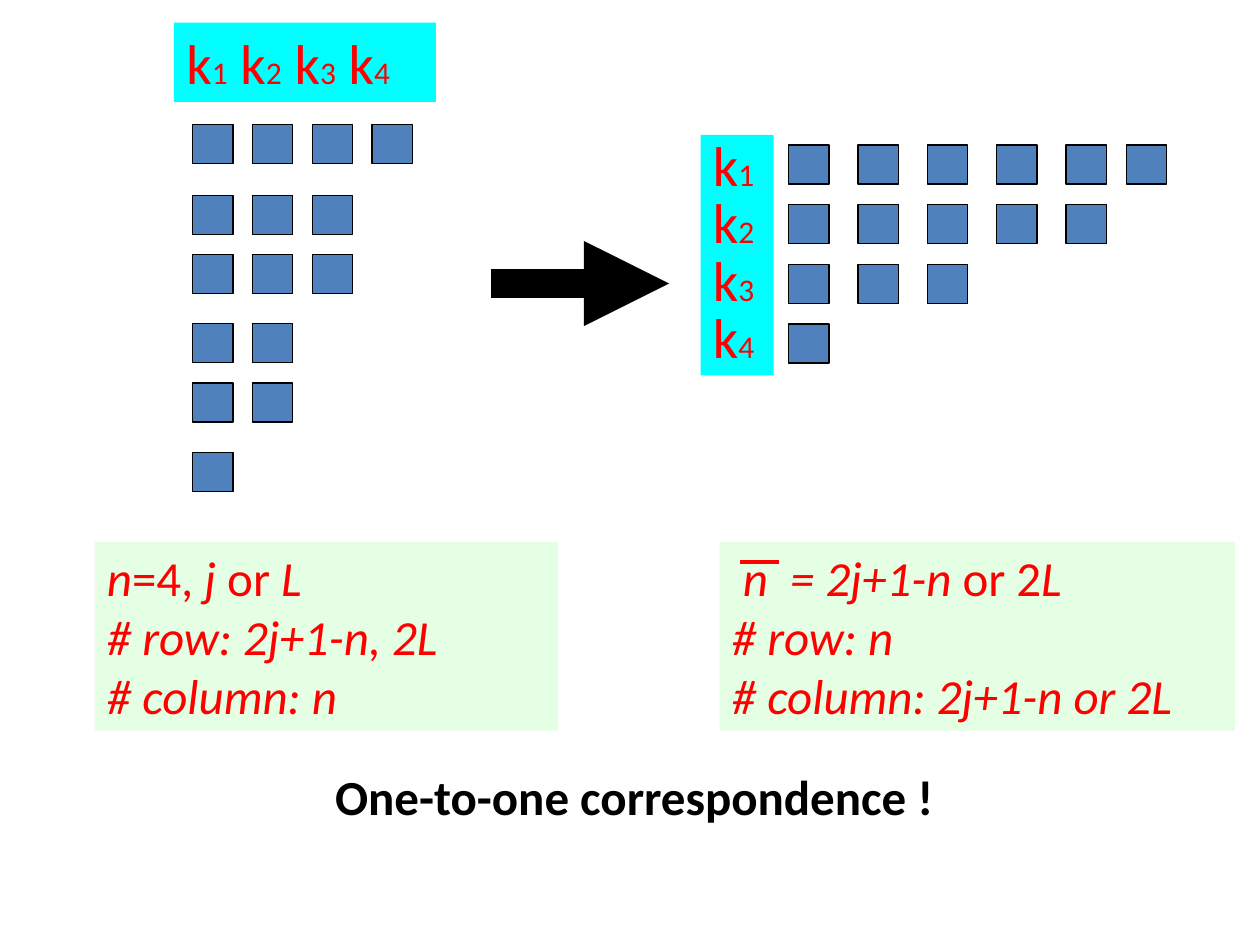
from lxml import etree
from pptx import Presentation
from pptx.dml.color import RGBColor
from pptx.enum.shapes import MSO_CONNECTOR as CONNECTOR, MSO_SHAPE as SHAPE
from pptx.enum.text import MSO_ANCHOR as ANCHOR, MSO_AUTO_SIZE as AUTO_SIZE, PP_ALIGN as ALIGN
from pptx.oxml.ns import qn
from pptx.util import Inches, Pt

BLACK = RGBColor(0x00, 0x00, 0x00)
RED = RGBColor(0xFF, 0x00, 0x00)
BLUE = RGBColor(0x4F, 0x81, 0xBD)
CYAN = RGBColor(0x00, 0xFF, 0xFF)
PALE_GREEN = RGBColor(0xCC, 0xFF, 0xCC)

BIG = dict(size=Pt(32))
SMALL = dict(size=Pt(18))
UPRIGHT = dict(size=Pt(28), italic=False)
ITALIC = dict(size=Pt(28), italic=True)
BOLD = dict(size=Pt(28), bold=True)


def write_lines(shape, lines, color, spacing=None):
    """Fill a shape with paragraphs, each a list of (text, format) pairs."""
    frame = shape.text_frame
    settings = dict(word_wrap=True, auto_size=AUTO_SIZE.NONE, vertical_anchor=ANCHOR.TOP)
    for name, value in settings.items():
        setattr(frame, name, value)
    for index, pieces in enumerate(lines):
        para = frame.add_paragraph() if index else frame.paragraphs[0]
        para.alignment = ALIGN.LEFT
        para.line_spacing = spacing
        for text, style in pieces:
            span = para.add_run()
            span.text = text
            span.font.color.rgb = color
            for name, value in dict(style, name="Calibri").items():
                setattr(span.font, name, value)


def add_panel(page, box, fill, opacity=100):
    panel = page.shapes.add_shape(SHAPE.RECTANGLE, *map(Inches, box))
    panel.shadow.inherit = False
    panel.fill.solid()
    panel.fill.fore_color.rgb = fill
    panel.line.fill.background()
    if opacity < 100:
        color = panel.fill._xPr.find(".//" + qn("a:srgbClr"))
        etree.SubElement(color, qn("a:alpha"), val=str(opacity * 1000))
    return panel


def add_line(page, start, end, color, width, arrow=False):
    line = page.shapes.add_connector(CONNECTOR.STRAIGHT, *map(Inches, start + end))
    line.line.color.rgb = color
    line.line.width = Pt(width)
    if arrow:
        etree.SubElement(line.line._get_or_add_ln(), qn("a:tailEnd"), type="triangle")
    etree.SubElement(line._element.spPr, qn("a:effectLst"))


def add_diagram(page, lefts, rows):
    """Draw rows of squares; each row is (top, number of squares)."""
    for top, count in rows:
        for left in lefts[:count]:
            square = add_panel(page, (left, top, 0.32, 0.31), BLUE)
            square.line.color.rgb = BLACK
            square.line.width = Pt(0.75)


def add_left_side(page):
    lefts = [1.53 + 0.474 * column for column in range(4)]
    add_diagram(page, lefts, [(0.99, 4), (1.55, 3), (2.02, 3), (2.57, 2), (3.04, 2), (3.59, 1)])
    # Column labels
    labels = []
    for number in range(1, 5):
        labels += [("k" if number == 1 else " k", BIG), (str(number), SMALL)]
    write_lines(add_panel(page, (1.38, 0.18, 2.08, 0.63), CYAN), [labels], RED)
    # Caption
    write_lines(add_panel(page, (0.75, 4.3, 3.68, 1.5), PALE_GREEN, 50), [
        [("n", ITALIC), ("=4, ", UPRIGHT), ("j ", ITALIC), ("or ", UPRIGHT), ("L", ITALIC)],
        [("# row: 2j+1-n, 2L", ITALIC)],
        [("# column: n", ITALIC)],
    ], RED)


def add_right_side(page):
    lefts = [6.26 + 0.55 * column for column in range(5)] + [8.94]
    counts = [6, 5, 3, 1]
    add_diagram(page, lefts, [(1.15 + 0.474 * row, count) for row, count in enumerate(counts)])
    # Row labels
    labels = [[("k", BIG), (str(number), SMALL)] for number in range(1, 5)]
    write_lines(add_panel(page, (5.56, 1.07, 0.58, 1.91), CYAN), labels, RED, spacing=0.85)
    # Caption, with a bar over the first n
    write_lines(add_panel(page, (5.71, 4.3, 4.09, 1.5), PALE_GREEN, 50), [
        [(" n  = 2j+1-n ", ITALIC), ("or 2", UPRIGHT), ("L", ITALIC)],
        [("# row: n", ITALIC)],
        [("# column: 2j+1-n or 2L", ITALIC)],
    ], RED)
    add_line(page, (5.87, 4.46), (6.18, 4.46), RED, 2)


def add_conclusion(page, box):
    title = page.shapes.title
    for name, value in zip(("left", "top", "width", "height"), box):
        setattr(title, name, Inches(value))
    write_lines(title, [[("One-to-one correspondence !", BOLD)]], BLACK)


def main():
    deck = Presentation()
    deck.slide_width, deck.slide_height = Inches(10), Inches(7.5)
    page = deck.slides.add_slide(deck.slide_layouts[5])
    add_left_side(page)
    add_line(page, (3.9, 2.25), (5.31, 2.25), BLACK, 16.25, arrow=True)
    add_right_side(page)
    add_conclusion(page, (2.56, 6.03, 5.73, 0.57))
    deck.save("out.pptx")


if __name__ == "__main__":
    main()
